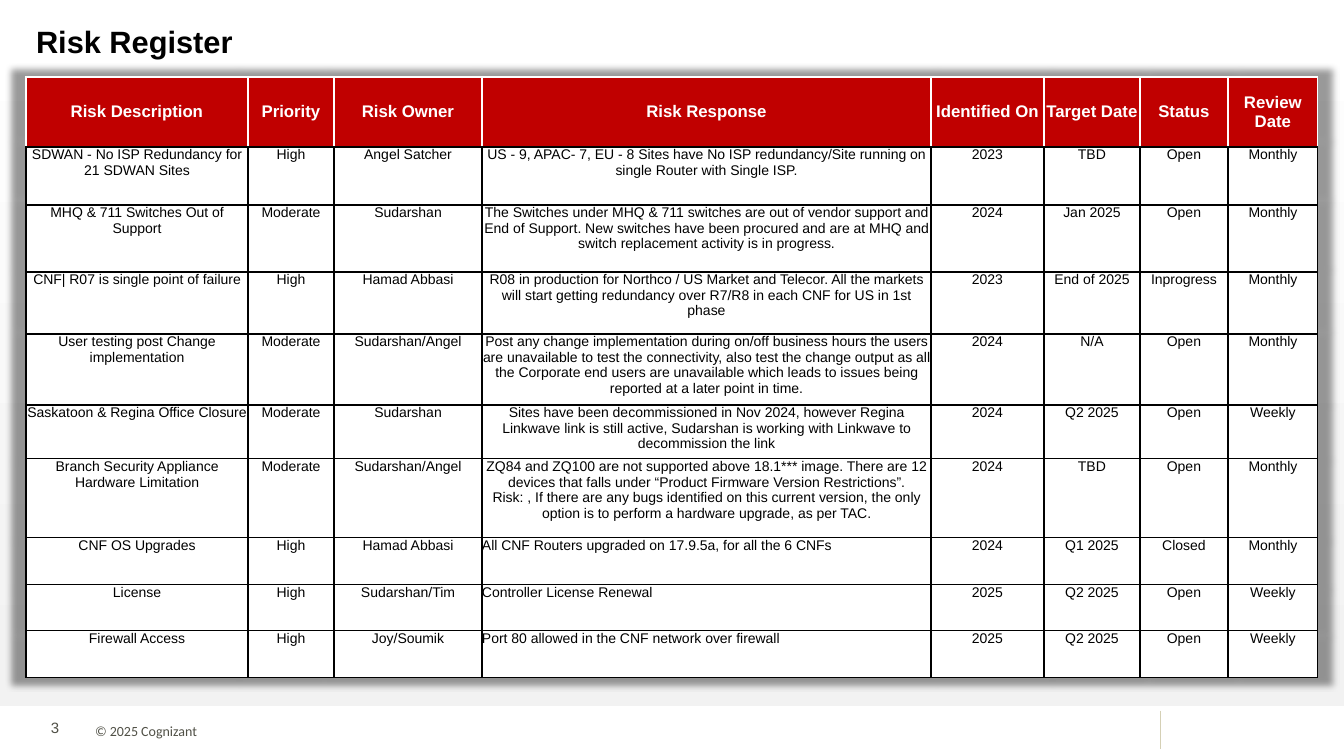
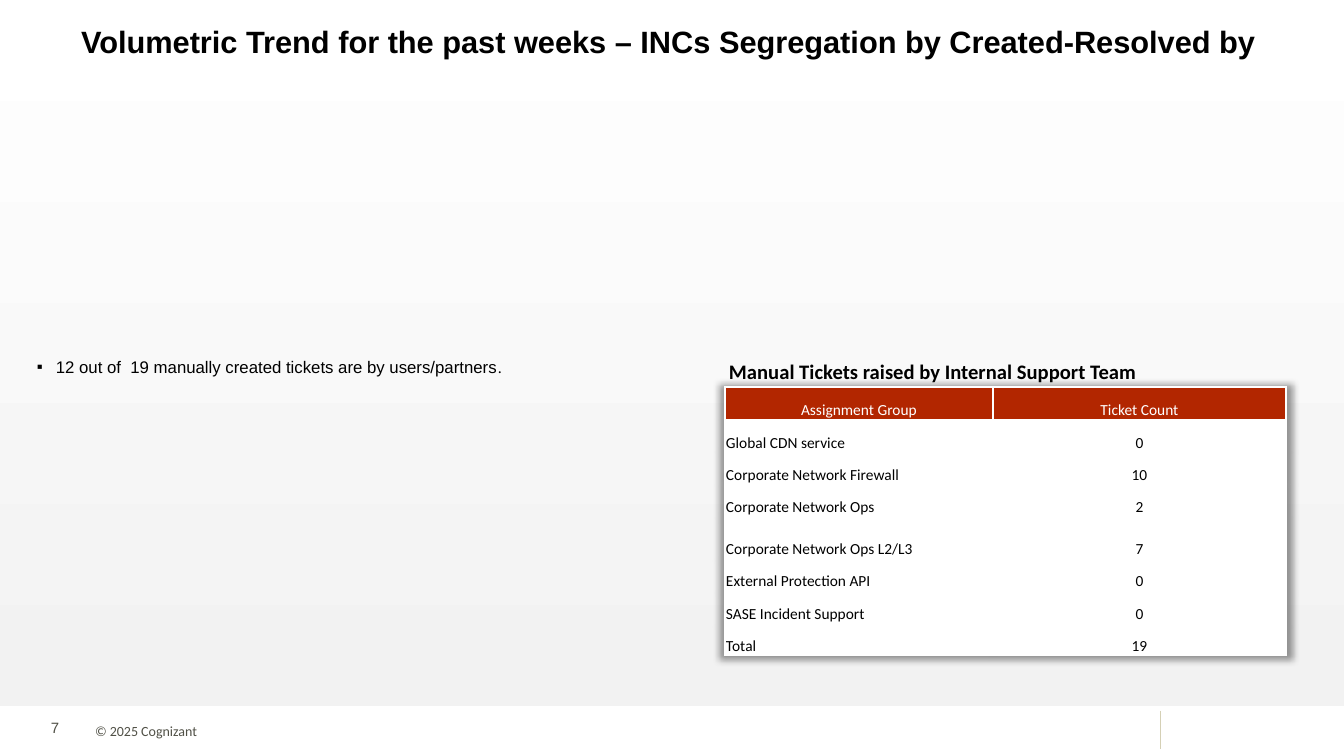
from lxml import etree
from pptx import Presentation
from pptx import util as u
from pptx.dml.color import RGBColor
from pptx.enum import shapes, text
from pptx.oxml import parse_xml
from pptx.oxml.ns import qn

PX = 12192000 / 1344
INK = {"black": "000000", "white": "FFFFFF", "mist": "F2F2F2", "grey": "505046",
       "sand": "D5D0B5", "red": "C00000", "rust": "B22600"}
NS = 'xmlns:a="http://schemas.openxmlformats.org/drawingml/2006/main"'
GLOW = (f'<a:effectLst {NS}><a:outerShdw blurRad="63500" sx="102000" sy="102000" '
        'algn="ctr" rotWithShape="0"><a:srgbClr val="000000"><a:alpha val="40000"/>'
        '</a:srgbClr></a:outerShdw></a:effectLst>')
MID, LEFT = text.PP_ALIGN.CENTER, text.PP_ALIGN.LEFT
TOP, CORE, LOW = (text.MSO_ANCHOR.TOP, text.MSO_ANCHOR.MIDDLE,
                  text.MSO_ANCHOR.BOTTOM)


def px(n):
    return u.Emu(round(n * PX))


def rgb(name):
    return RGBColor.from_string(INK[name])


def write(frame, body, size=12, font="Arial", color="black", bold=False,
          align=LEFT, space=None, bullet=None, tail=None):
    """Fill a frame, one paragraph a line; tail is (text, size, font) of a last run."""
    for i, line in enumerate(body.split("\n")):
        para = frame.paragraphs[0] if i == 0 else frame.add_paragraph()
        if bullet:
            prop = para._p.get_or_add_pPr()
            prop.set("marL", str(px(19)))
            prop.set("indent", str(-px(19)))
            etree.SubElement(prop, qn("a:buFont")).set("typeface", font)
            etree.SubElement(prop, qn("a:buChar")).set("char", bullet)
        para.alignment = align
        if space:
            para.line_spacing = space
        for words, pts, face in [(line, size, font)] + ([tail] if tail else []):
            run = para.add_run()
            run.text = words
            run.font.size, run.font.name, run.font.bold = u.Pt(pts), face, bold
            run.font.color.rgb = rgb(color)


def edge(cell, colors):
    """Draw 1 pt borders; colors are left, right, top, bottom."""
    prop = cell._tc.get_or_add_tcPr()
    for side, name in zip("LRTB", colors):
        prop.append(parse_xml(
            f'<a:ln{side} {NS} w="12700"><a:solidFill><a:srgbClr val="{INK[name]}"/>'
            f'</a:solidFill></a:ln{side}>'))


class Deck:
    def __init__(self):
        self.file = Presentation()
        self.file.slide_width, self.file.slide_height = px(1344), px(756)

    def page(self, title, number, x, align):
        self.slide = self.file.slides.add_slide(self.file.slide_layouts[5])
        self.items = self.slide.shapes
        self.band()
        self.label(41, 714, 77, 28, number, size=10.7, color="grey")
        self.rule(1160, 711, 1160, 749)
        self.label(95, 712, 672, 27, "© 2025 Cognizant", pad=0, anchor=LOW,
                   size=10, font="Calibri", color="grey")
        head = self.items.title
        self.items._spTree.append(head._element)
        head.left, head.top, head.width, head.height = map(px, (x, 17, 1269, 53))
        frame = head.text_frame
        frame.auto_size = text.MSO_AUTO_SIZE.NONE
        frame.vertical_anchor = CORE
        write(frame, title, size=22, bold=True, align=align, space=0.9)

    def band(self):
        box = self.items.add_shape(shapes.MSO_SHAPE.RECTANGLE, 0, 0, px(1344), px(706))
        box.shadow.inherit = False
        box.line.fill.background()
        box.fill.gradient()
        box.fill.gradient_angle = 90
        for stop, name in zip(box.fill.gradient_stops, ("mist", "white")):
            stop.color.rgb = rgb(name)

    def rule(self, *ends):
        line = self.items.add_connector(shapes.MSO_CONNECTOR.STRAIGHT, *map(px, ends))
        line.line.color.rgb, line.line.width = rgb("sand"), u.Pt(0.5)
        etree.SubElement(line._element.spPr, qn("a:effectLst"))

    def label(self, x, y, w, h, body, pad=None, anchor=TOP, **fmt):
        frame = self.items.add_textbox(*map(px, (x, y, w, h))).text_frame
        frame.word_wrap, frame.vertical_anchor = True, anchor
        if pad is not None:
            frame.margin_left = frame.margin_right = px(pad)
            frame.margin_top = frame.margin_bottom = px(pad)
        write(frame, body, **fmt)

    def table(self, x, y, cols, rows, data, head, body, pad=0, left=()):
        """head and body hold fill, border colours, anchor and text format;
        left holds the (row, column) cells that are not centred."""
        grid = self.items.add_table(len(rows), len(cols), *map(
            px, (x, y, sum(cols), sum(rows)))).table
        grid.first_row = grid.horz_banding = False
        grid._tbl.tblPr.insert(0, parse_xml(GLOW))
        for col, w in zip(grid.columns, cols):
            col.width = px(w)
        for r, (h, line) in enumerate(zip(rows, data)):
            grid.rows[r].height = px(h)
            look = body if r else head
            for c, words in enumerate(line):
                cell = grid.cell(r, c)
                edge(cell, look["edges"])
                cell.fill.solid()
                cell.fill.fore_color.rgb = rgb(look["fill"])
                cell.vertical_anchor = look["anchor"]
                cell.margin_left = cell.margin_right = cell.margin_top = px(pad)
                cell.margin_bottom = 0
                write(cell.text_frame, words, align=LEFT if (r, c) in left else MID,
                      **look["fmt"])


RISKS = [
    ("Risk Description", "Priority", "Risk Owner", "Risk Response",
     "Identified On", "Target Date", "Status", "Review Date"),
    ("SDWAN - No ISP Redundancy for 21 SDWAN Sites", "High", "Angel Satcher",
     "US - 9, APAC- 7, EU - 8 Sites have No ISP redundancy/Site running on "
     "single Router with Single ISP.", "2023", "TBD", "Open", "Monthly"),
    ("MHQ & 711 Switches Out of Support", "Moderate", "Sudarshan",
     "The Switches under MHQ & 711 switches are out of vendor support and End "
     "of Support. New switches have been procured and are at MHQ and switch "
     "replacement activity is in progress.", "2024", "Jan 2025", "Open", "Monthly"),
    ("CNF| R07 is single point of failure", "High", "Hamad Abbasi",
     "R08 in production for Northco / US Market and Telecor. All the markets "
     "will start getting redundancy over R7/R8 in each CNF for US in 1st phase",
     "2023", "End of 2025", "Inprogress", "Monthly"),
    ("User testing post Change implementation", "Moderate", "Sudarshan/Angel",
     "Post any change implementation during on/off business hours the users are "
     "unavailable to test the connectivity, also test the change output as all "
     "the Corporate end users are unavailable which leads to issues being "
     "reported at a later point in time.", "2024", "N/A", "Open", "Monthly"),
    ("Saskatoon & Regina Office Closure", "Moderate", "Sudarshan",
     "Sites have been decommissioned in Nov 2024, however Regina Linkwave link is "
     "still active, Sudarshan is working with Linkwave to decommission the link",
     "2024", "Q2 2025", "Open", "Weekly"),
    ("Branch Security Appliance Hardware Limitation", "Moderate", "Sudarshan/Angel",
     "ZQ84 and ZQ100 are not supported above 18.1*** image. There are 12 devices "
     "that falls under “Product Firmware Version Restrictions”.\n"
     "Risk: , If there are any bugs identified on this current version, the only "
     "option is to perform a hardware upgrade, as per TAC.",
     "2024", "TBD", "Open", "Monthly"),
    ("CNF OS Upgrades", "High", "Hamad Abbasi",
     "All CNF Routers upgraded on 17.9.5a, for all the 6 CNFs",
     "2024", "Q1 2025", "Closed", "Monthly"),
    ("License", "High", "Sudarshan/Tim", "Controller License Renewal",
     "2025", "Q2 2025", "Open", "Weekly"),
    ("Firewall Access", "High", "Joy/Soumik",
     "Port 80 allowed in the CNF network over firewall",
     "2025", "Q2 2025", "Open", "Weekly"),
]
TICKETS = [
    ("Assignment Group", "Ticket Count"),
    ("Global CDN service", "0"),
    ("Corporate Network Firewall", "10"),
    ("Corporate Network Ops", "2"),
    ("Corporate Network Ops L2/L3", "7"),
    ("External Protection API", "0"),
    ("SASE Incident Support", "0"),
    ("Total", "19"),
]


def risks(deck):
    deck.page("Risk Register", "3", 26, LEFT)
    deck.table(
        26, 77, (222, 86, 148, 449, 113, 96, 88, 90),
        (70, 58, 67, 62, 71, 54, 79, 47, 46, 47), RISKS,
        head=dict(fill="red", edges=["white"] * 3 + ["black"], anchor=CORE,
                  fmt=dict(size=12, color="white", bold=True)),
        body=dict(fill="white", edges=["black"] * 4, anchor=TOP, fmt=dict(size=10)),
        left=[(r, 3) for r in (7, 8, 9)])


def trend(deck):
    deck.page("Volumetric Trend for the past weeks – INCs Segregation by "
              "Created-Resolved by", "7", 34, MID)
    deck.label(27, 352, 512, 30,
               "12 out of  19 manually created tickets are by users/partners",
               bullet="▪", tail=(".", 11, "League Spartan"))
    deck.label(719, 354, 563, 35, "Manual Tickets raised by Internal Support Team",
               size=14.7, font="Calibri", bold=True)
    look = dict(edges=["white"] * 4, anchor=LOW)
    deck.table(
        725, 387, (268, 293), (33, 33, 32, 32, 42, 32, 33, 32), TICKETS,
        head=dict(look, fill="rust", fmt=dict(size=11, font="Calibri", color="white")),
        body=dict(look, fill="white", fmt=dict(size=11, font="Calibri")),
        pad=1, left=[(r, 0) for r in range(1, len(TICKETS))])


def main():
    deck = Deck()
    risks(deck)
    trend(deck)
    deck.file.save("out.pptx")


if __name__ == "__main__":
    main()
